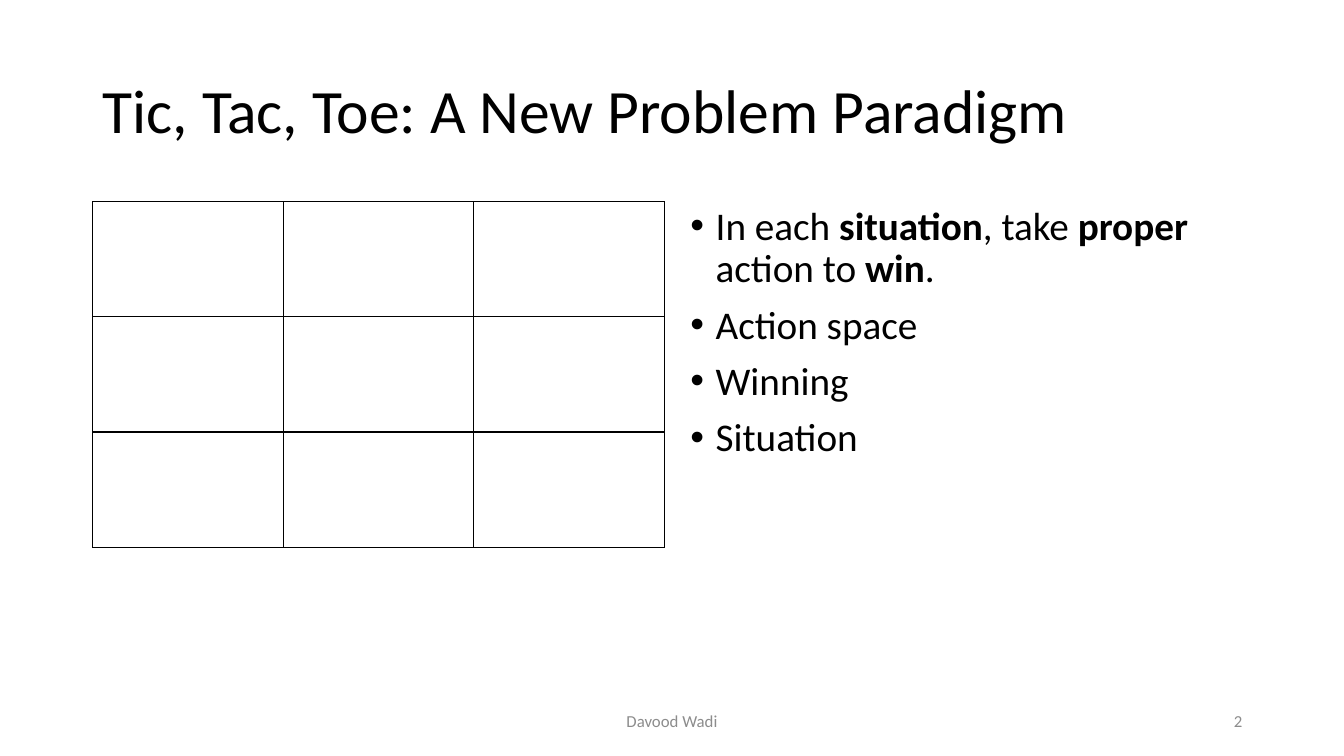
from lxml import etree
from pptx import Presentation
from pptx.dml.color import RGBColor
from pptx.enum.text import MSO_ANCHOR, PP_ALIGN
from pptx.oxml.ns import qn
from pptx.util import Inches, Pt

LEFT, CENTER, RIGHT = PP_ALIGN.LEFT, PP_ALIGN.CENTER, PP_ALIGN.RIGHT
TOP, MIDDLE = MSO_ANCHOR.TOP, MSO_ANCHOR.MIDDLE

# Each paragraph is a list of (words, bold) spans.
TITLE = [[("Tic, Tac, Toe: A New Problem Paradigm", False)]]
POINTS = [
    [("In each ", False), ("situation", True), (", take ", False),
     ("proper", True), (" action to ", False), ("win", True), (".", False)],
    [("Action space", False)],
    [("Winning", False)],
    [("Situation", False)],
]
AUTHOR = [[("Davood Wadi", False)]]
PAGE_NUMBER = [[("2", False)]]

FONT, BLACK, GRAY = "Calibri", "000000", "8C8C8C"
WIDTH, HEIGHT = 13.33, 7.5
MARGIN = 0.92
CONTENT_WIDTH = 11.5
COLUMN_WIDTH, COLUMN_GAP = 5.67, 0.16
BODY_TOP, BODY_HEIGHT = 2, 4.76
FOOTER_TOP, FOOTER_HEIGHT = 6.95, 0.4
AUTHOR_WIDTH, NUMBER_WIDTH = 4.5, 3
BOARD_SIZE, BOARD_HEIGHT = 3, 3.43


def color(value):
    return RGBColor.from_string(value)


def add_text(page, area, paragraphs, size, ink=BLACK, align=LEFT,
             anchor=MIDDLE, spacing=1.0, bulleted=False):
    box = page.shapes.add_textbox(*map(Inches, area))
    frame = box.text_frame
    frame.word_wrap = True
    frame.vertical_anchor = anchor
    for index, spans in enumerate(paragraphs):
        para = frame.add_paragraph() if index else frame.paragraphs[0]
        para.alignment = align
        para.line_spacing = spacing
        para.font.name, para.font.size = FONT, Pt(size)
        para.font.color.rgb = color(ink)
        for words, bold in spans:
            span = para.add_run()
            span.text = words
            if bold:
                span.font.bold = True
        if bulleted:
            para.space_before = Pt(10)
            add_bullet(para)


def add_bullet(para):
    props = para._p.get_or_add_pPr()
    props.set("marL", str(Inches(0.25)))
    props.set("indent", str(-Inches(0.25)))
    bullet_font = etree.Element(qn("a:buFont"), typeface="Arial")
    bullet = etree.Element(qn("a:buChar"), char="•")
    defaults = props.find(qn("a:defRPr"))
    defaults.addprevious(bullet_font)
    defaults.addprevious(bullet)


def add_borders(cell):
    """Draw a thin black line on all four sides, beneath the fill in the XML order."""
    props = cell._tc.get_or_add_tcPr()
    for position, side in enumerate(("a:lnL", "a:lnR", "a:lnT", "a:lnB")):
        line = etree.Element(qn(side), w=str(Pt(1)))
        fill = etree.SubElement(line, qn("a:solidFill"))
        etree.SubElement(fill, qn("a:srgbClr"), val=BLACK)
        props.insert(position, line)


def add_board(page):
    area = (MARGIN, BODY_TOP, COLUMN_WIDTH, BOARD_HEIGHT)
    board = page.shapes.add_table(BOARD_SIZE, BOARD_SIZE, *map(Inches, area)).table
    board.first_row = board.horz_banding = False
    for cell in board.iter_cells():
        cell.fill.background()
        add_borders(cell)


def main():
    deck = Presentation()
    deck.slide_width, deck.slide_height = Inches(WIDTH), Inches(HEIGHT)
    page = deck.slides.add_slide(deck.slide_layouts[6])

    add_text(page, (MARGIN, 0.4, CONTENT_WIDTH, 1.45), TITLE, 44, spacing=0.9)
    add_board(page)
    points_left = MARGIN + COLUMN_WIDTH + COLUMN_GAP
    add_text(page, (points_left, BODY_TOP, COLUMN_WIDTH, BODY_HEIGHT), POINTS, 28,
             anchor=TOP, spacing=0.9, bulleted=True)

    author_left = (WIDTH - AUTHOR_WIDTH) / 2
    add_text(page, (author_left, FOOTER_TOP, AUTHOR_WIDTH, FOOTER_HEIGHT),
             AUTHOR, 12, GRAY, CENTER)
    number_left = MARGIN + CONTENT_WIDTH - NUMBER_WIDTH
    add_text(page, (number_left, FOOTER_TOP, NUMBER_WIDTH, FOOTER_HEIGHT),
             PAGE_NUMBER, 12, GRAY, RIGHT)

    deck.save("out.pptx")


if __name__ == "__main__":
    main()
